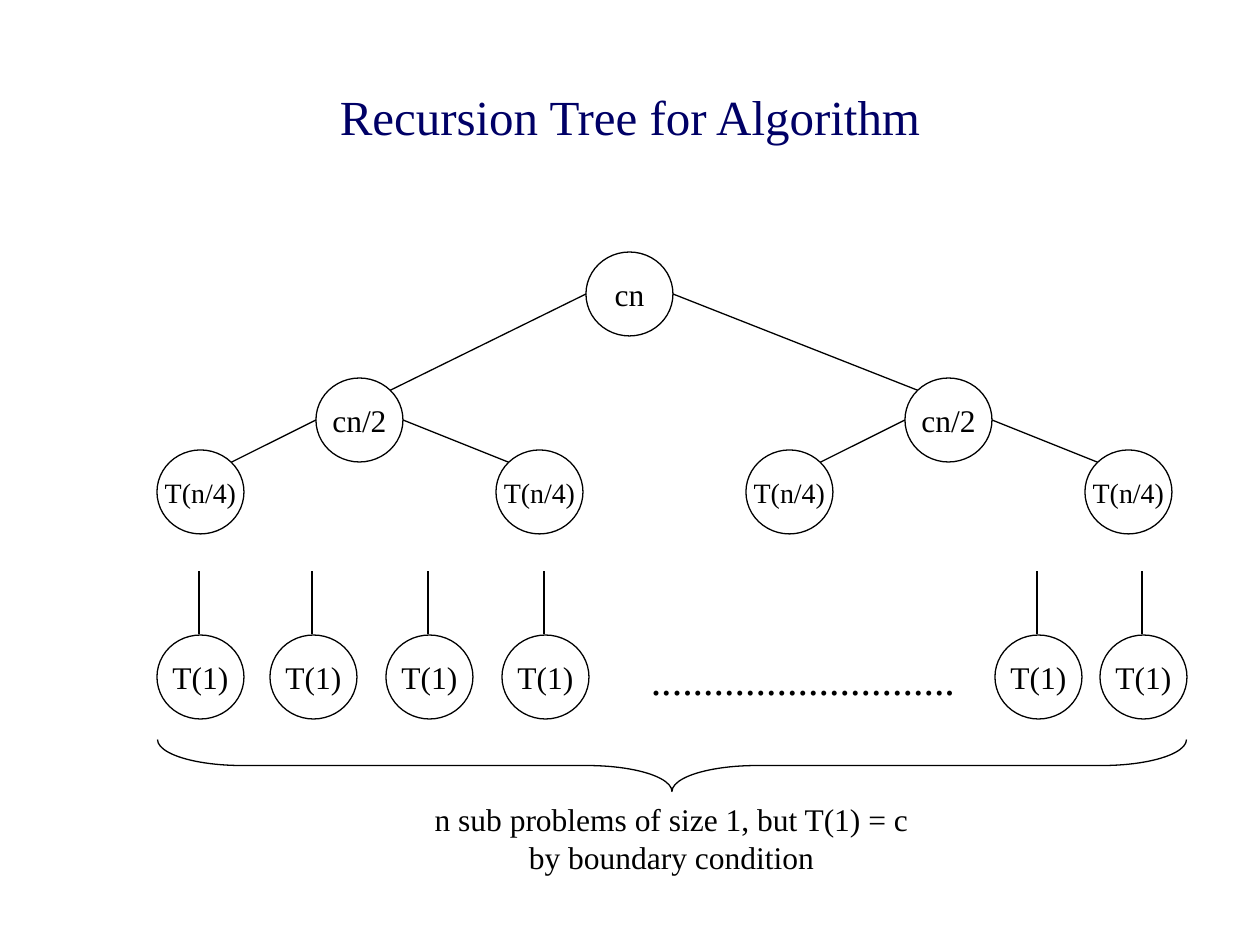
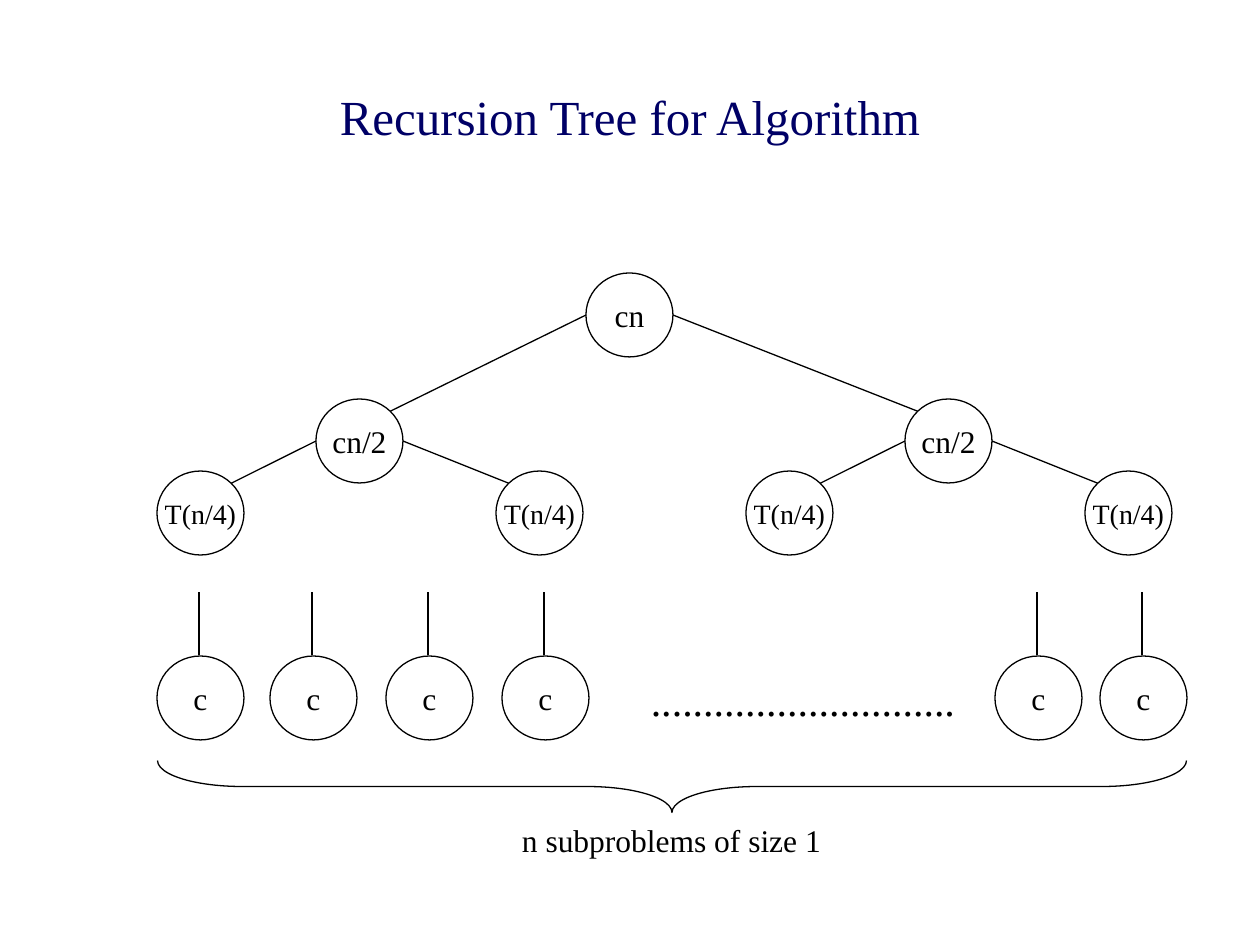
"""Build two recursion tree slides."""
import dataclasses
import typing

import lxml.etree
import pptx
import pptx.dml.color
import pptx.enum.shapes
import pptx.enum.text
import pptx.oxml.ns
import pptx.util

EMU_PER_PIXEL = 914400 / 126
FONT_NAME = "Times New Roman"
INK = "000000"
TITLE_COLOR = "000066"
TITLE = "Recursion Tree for Algorithm"
NODE_WIDTH, NODE_HEIGHT = 87, 84
CORNER = 0.146
LEFT_CHILD, RIGHT_CHILD = -159, 180
LEAF_LEFTS = (157, 270, 386, 502, 995, 1100)


@dataclasses.dataclass(frozen=True)
class Node:
    """A circle of the tree, placed by its left and top edges."""
    left: int
    top: int
    label: str
    size: int = 18


@dataclasses.dataclass(frozen=True)
class Tree:
    """What differs between the slides."""
    drop: int
    leaf: str
    caption: str
    caption_height: int


TREES = (
    Tree(0, "T(1)", "n sub problems of size 1, but T(1) = c by boundary condition", 88),
    Tree(21, "c", "n subproblems of size 1", 50),
)


def length(pixels: float) -> pptx.util.Emu:
    """Turn pixels into EMU."""
    return pptx.util.Emu(round(pixels * EMU_PER_PIXEL))


def color(value: str) -> pptx.dml.color.RGBColor:
    """Turn a hex string into a colour."""
    return pptx.dml.color.RGBColor.from_string(value)


def apply(target: typing.Any, values: dict[str, typing.Any]) -> None:
    """Set every named attribute on the target."""
    for name, value in values.items():
        setattr(target, name, value)


def write(box: typing.Any, text: str, size: int, ink: str = INK,
          **frame_values: typing.Any) -> None:
    """Put one centred paragraph into a box."""
    frame = box.text_frame
    apply(frame, frame_values)
    para = frame.paragraphs[0]
    para.alignment = pptx.enum.text.PP_ALIGN.CENTER
    span = para.add_run()
    span.text = text
    apply(span.font, {"name": FONT_NAME, "size": pptx.util.Pt(size)})
    span.font.color.rgb = color(ink)


def outline(shape: typing.Any) -> None:
    """Give a shape or connector the thin black line."""
    shape.line.color.rgb = color(INK)
    shape.line.width = pptx.util.Pt(0.75)


def add_outline_shape(shapes: typing.Any, kind: typing.Any, left: int, top: int,
                      width: int, height: int) -> typing.Any:
    """Add an unfilled preset shape."""
    shape = shapes.add_shape(kind, *map(length, (left, top, width, height)))
    shape.shadow.inherit = False
    shape.fill.background()
    outline(shape)
    return shape


def add_node(shapes: typing.Any, node: Node) -> None:
    """Draw a labelled circle."""
    circle = add_outline_shape(shapes, pptx.enum.shapes.MSO_SHAPE.OVAL,
                               node.left, node.top, NODE_WIDTH, NODE_HEIGHT)
    write(circle, node.label, node.size, word_wrap=False,
          vertical_anchor=pptx.enum.text.MSO_ANCHOR.MIDDLE)


def add_line(shapes: typing.Any, *ends: float) -> None:
    """Draw a straight line from one point to another."""
    line = shapes.add_connector(pptx.enum.shapes.MSO_CONNECTOR.STRAIGHT,
                                *map(length, ends))
    outline(line)
    lxml.etree.SubElement(line._element.spPr, pptx.oxml.ns.qn("a:effectLst"))


def add_branches(shapes: typing.Any, parent: Node, children: tuple[Node, Node]) -> None:
    """Join the sides of a parent to the upper inner corners of its children."""
    middle = parent.top + NODE_HEIGHT / 2
    for child, side, corner in zip(children, (0, 1), (1 - CORNER, CORNER)):
        add_line(shapes, parent.left + side * NODE_WIDTH, middle,
                 child.left + corner * NODE_WIDTH, child.top + CORNER * NODE_HEIGHT)


def add_text(shapes: typing.Any, left: int, top: int, width: int, height: int,
             text: str, size: int) -> None:
    """Add a wrapping text box that grows with its text."""
    box = shapes.add_textbox(*map(length, (left, top, width, height)))
    write(box, text, size, word_wrap=True, margin_top=length(9),
          auto_size=pptx.enum.text.MSO_AUTO_SIZE.SHAPE_TO_FIT_TEXT)


def add_title(slide: typing.Any) -> None:
    """Place and fill the title."""
    title = slide.shapes.title
    apply(title, {"left": length(294), "top": length(63),
                  "width": length(672), "height": length(105)})
    write(title, TITLE, 28, TITLE_COLOR,
          vertical_anchor=pptx.enum.text.MSO_ANCHOR.MIDDLE)


def add_tree(slide: typing.Any, tree: Tree) -> None:
    """Draw the recursion tree, its leaves, brace and caption."""
    shapes = slide.shapes.add_group_shape().shapes
    drop = tree.drop
    root = Node(586, 252 + drop, "cn")
    halves = (Node(316, 378 + drop, "cn/2"), Node(905, 378 + drop, "cn/2"))
    add_node(shapes, root)
    add_branches(shapes, root, halves)
    for half in halves:
        quarters = (Node(half.left + LEFT_CHILD, half.top + 72, "T(n/4)", 16),
                    Node(half.left + RIGHT_CHILD, half.top + 72, "T(n/4)", 16))
        for node in (half, *quarters):
            add_node(shapes, node)
        add_branches(shapes, half, quarters)
    for left in LEAF_LEFTS:
        add_node(shapes, Node(left, 635 + drop, tree.leaf))
        add_line(shapes, left + 42, 634 + drop, left + 42, 571 + drop)
    add_text(shapes, 630, 645 + drop, 346, 63, "." * 29, 24)
    brace = add_outline_shape(shapes, pptx.enum.shapes.MSO_SHAPE.LEFT_BRACE,
                              646, 251 + drop, 52, 1029)
    brace.rotation = 270
    brace.adjustments[0] = 1.63
    brace.adjustments[1] = 0.5
    add_text(shapes, 409, 791 + drop, 525, tree.caption_height, tree.caption, 18)


def main() -> None:
    """Build and save the deck."""
    deck = pptx.Presentation()
    apply(deck, {"slide_width": length(1260), "slide_height": length(945)})
    for tree in TREES:
        page = deck.slides.add_slide(deck.slide_layouts[5])
        add_title(page)
        add_tree(page, tree)
    deck.save("out.pptx")


main()
